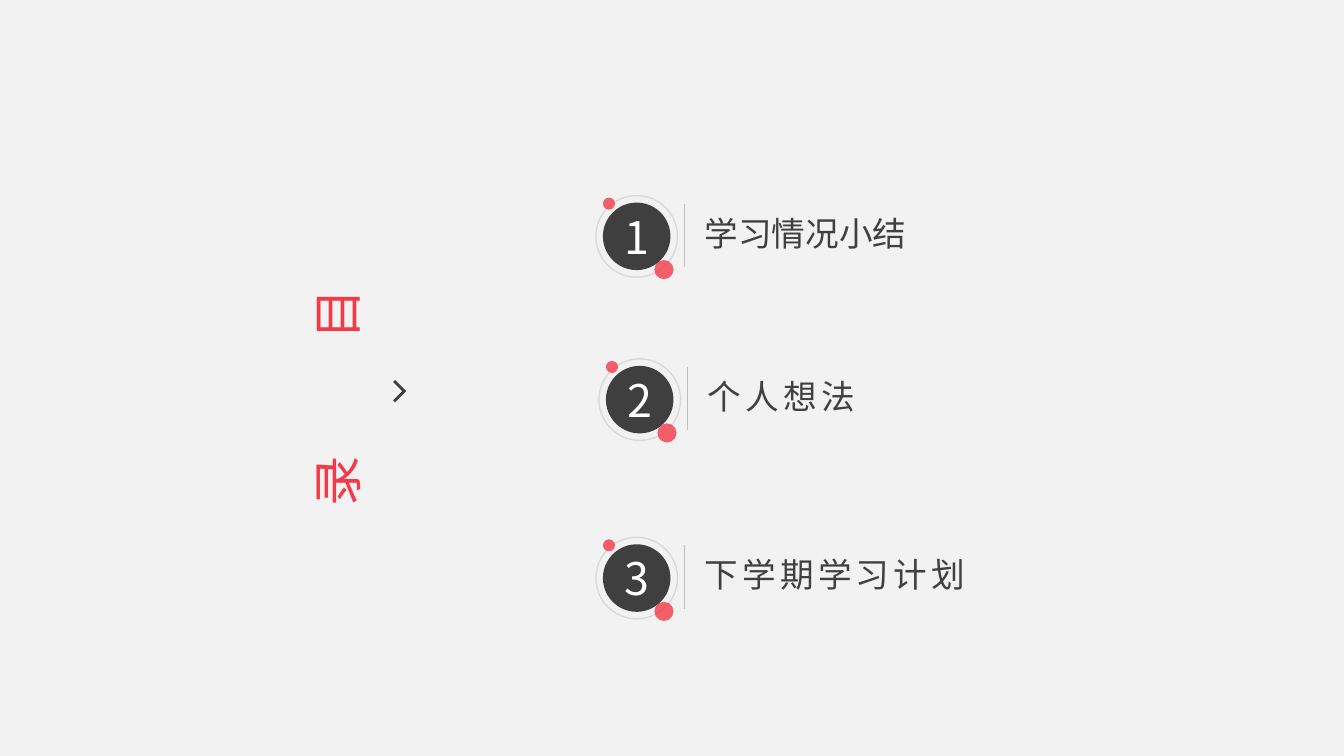
import lxml.etree
import pptx
import pptx.util
import pptx.dml.color
import pptx.enum.shapes
import pptx.enum.text
import pptx.oxml.ns

Inches = pptx.util.Inches
Align = pptx.enum.text.PP_ALIGN
Anchor = pptx.enum.text.MSO_ANCHOR
FONT = "Noto Sans CJK SC"
COLORS = {
    "background": "F2F2F2",
    "badge": "3F3F3F",
    "number": "FFFFFF",
    "ring": "D9D9D9",
    "accent": "F23B48",
    "label": "404040",
    "divider": "BFBFBF",
}
TOPICS = [
    ("学习情况小结", 5.91, 1.94, 2.47, 0),
    ("个人想法", 5.94, 3.56, 3.87, 3),
    ("下学期学习计划", 5.91, 5.33, 3.15, 3),
]


def color(name):
    return pptx.dml.color.RGBColor.from_string(COLORS[name])


def add_child(parent, tag, **attributes):
    child = lxml.etree.SubElement(parent, pptx.oxml.ns.qn(tag))
    for key, value in attributes.items():
        child.set(key, str(value))


def write_text(para, text, size, shade, align, spacing=0):
    para.alignment = align
    span = para.add_run()
    span.text = text
    span.font.size = pptx.util.Pt(size)
    span.font.name = FONT
    span.font.color.rgb = color(shade)
    properties = span._r.get_or_add_rPr()
    add_child(properties, "a:ea", typeface=FONT)
    if spacing:
        properties.set("spc", str(spacing * 100))


def add_circle(group, left, top, size, fill=None, line=None, alpha=None):
    circle = group.shapes.add_shape(
        pptx.enum.shapes.MSO_SHAPE.OVAL,
        Inches(left), Inches(top), Inches(size), Inches(size))
    circle.shadow.inherit = False
    if fill:
        circle.fill.solid()
        circle.fill.fore_color.rgb = color(fill)
    else:
        circle.fill.background()
    if line:
        circle.line.color.rgb = color(line)
        circle.line.width = pptx.util.Pt(1)
    else:
        circle.line.fill.background()
    if alpha:
        shade = circle._element.spPr.find(".//" + pptx.oxml.ns.qn("a:srgbClr"))
        add_child(shade, "a:alpha", val=alpha * 1000)
    return circle


def add_topic(page, number, text, left, top, width, spacing):
    group = page.shapes.add_group_shape()
    badge = add_circle(group, left + 0.07, top + 0.07, 0.67, fill="badge")
    frame = badge.text_frame
    frame.margin_left = frame.margin_right = 0
    frame.margin_top = frame.margin_bottom = 0
    frame.vertical_anchor = Anchor.MIDDLE
    write_text(frame.paragraphs[0], str(number), 32, "number", Align.CENTER)
    add_circle(group, left, top, 0.81, line="ring")
    add_circle(group, left + 0.58, top + 0.64, 0.19, fill="accent", alpha=80)
    add_circle(group, left + 0.07, top + 0.02, 0.12, fill="accent", alpha=80)

    label = group.shapes.add_textbox(
        Inches(left + 0.98), Inches(top + 0.12), Inches(width), Inches(0.5))
    label.text_frame.word_wrap = True
    write_text(label.text_frame.paragraphs[0], text, 24, "label",
               Align.JUSTIFY, spacing)

    divider = group.shapes.add_connector(
        pptx.enum.shapes.MSO_CONNECTOR.STRAIGHT,
        Inches(left + 0.88), Inches(top + 0.08),
        Inches(left + 0.88), Inches(top + 0.71))
    divider.line.color.rgb = color("divider")
    divider.line.width = pptx.util.Pt(1)
    add_child(divider._element.spPr, "a:effectLst")


def add_heading(page, left, top, width, height):
    title = page.shapes.title
    title.left, title.top = Inches(left), Inches(top)
    title.width, title.height = Inches(width), Inches(height)
    title.rotation = 270
    frame = title.text_frame
    frame.word_wrap = True
    frame.auto_size = pptx.enum.text.MSO_AUTO_SIZE.NONE
    frame.vertical_anchor = Anchor.TOP
    frame._txBody.bodyPr.set("vert", "eaVert")
    write_text(frame.paragraphs[0], "目", 36, "accent", Align.CENTER)
    second = frame.add_paragraph()
    second.space_before = pptx.util.Pt(76)
    write_text(second, "录", 36, "accent", Align.CENTER)


def add_chevron(page, left, top, width, height):
    edge = 0.02
    middle = top + height / 2
    points = [
        (left + edge, top),
        (left + width, middle),
        (left + edge, top + height),
        (left, top + height - edge),
        (left + width - 2 * edge, middle),
    ]
    builder = page.shapes.build_freeform(
        Inches(left), Inches(top + edge), scale=1.0)
    builder.add_line_segments([(Inches(x), Inches(y)) for x, y in points])
    chevron = builder.convert_to_shape()
    chevron.shadow.inherit = False
    chevron.fill.solid()
    chevron.fill.fore_color.rgb = color("badge")
    chevron.line.fill.background()


def main():
    deck = pptx.Presentation()
    deck.slide_width, deck.slide_height = Inches(13.33), Inches(7.5)
    page = deck.slides.add_slide(deck.slide_layouts.get_by_name("Title Only"))
    page.background.fill.solid()
    page.background.fill.fore_color.rgb = color("background")
    for number, topic in enumerate(TOPICS, 1):
        add_topic(page, number, *topic)
    add_heading(page, 2.1, 3.68, 2.6, 0.71)
    add_chevron(page, 3.9, 3.77, 0.13, 0.22)
    deck.save("out.pptx")


if __name__ == "__main__":
    main()
